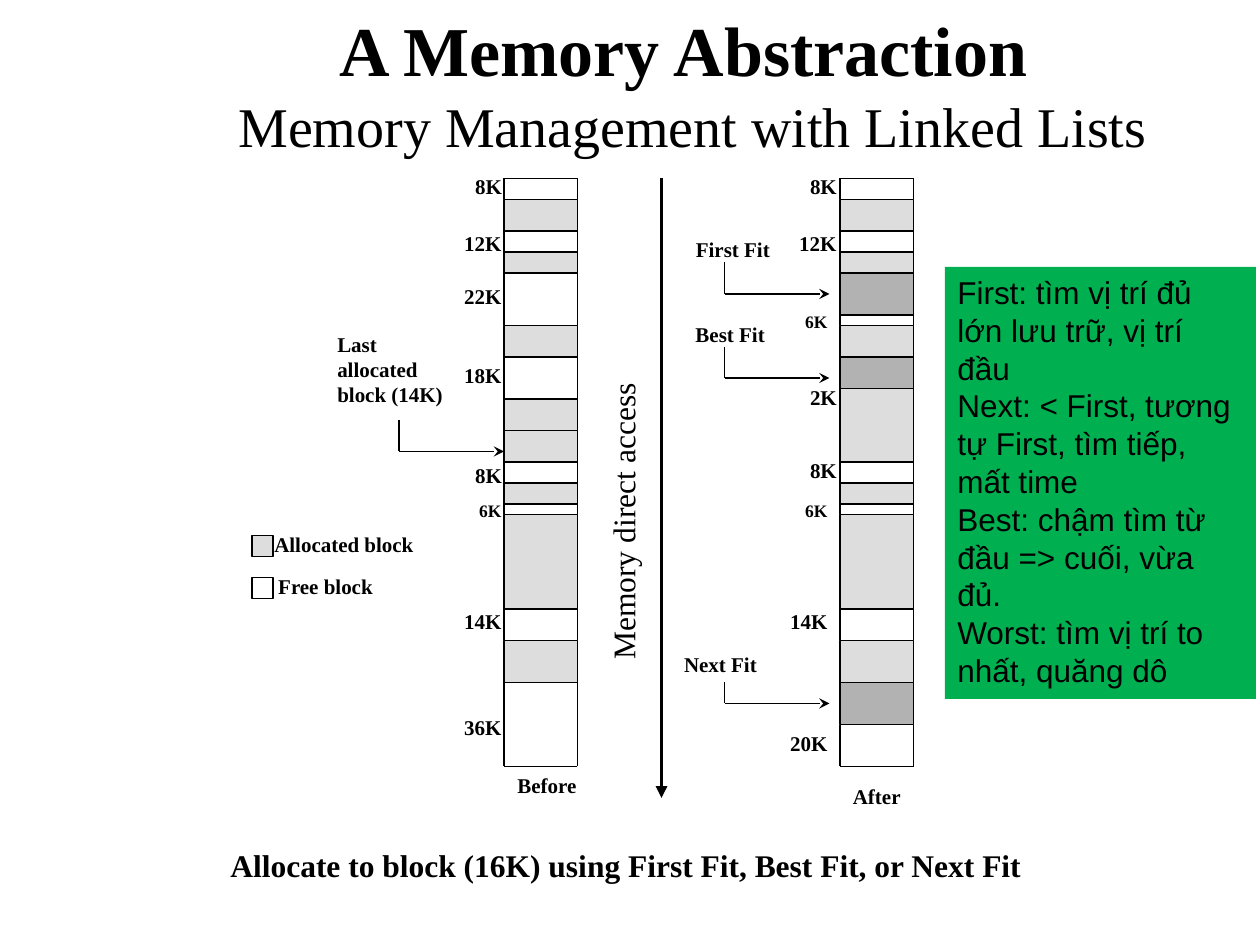
"""Build the slide on memory management with linked lists."""
import pptx
import pptx.util
import pptx.dml.color
import pptx.enum.shapes
import pptx.enum.text
import pptx.oxml
import pptx.oxml.ns

Cm, Pt = pptx.util.Cm, pptx.util.Pt
RGB = pptx.dml.color.RGBColor.from_string
RECT = pptx.enum.shapes.MSO_SHAPE.RECTANGLE
LINE = pptx.enum.shapes.MSO_CONNECTOR.STRAIGHT
AL = pptx.enum.text.PP_ALIGN
FIT = pptx.enum.text.MSO_AUTO_SIZE
hues = {"ink": "000000", "used": "DDDDDD", "new": "B2B2B2", "free": "FFFFFF", "note": "00B050"}
step = 2.54 / 12

deck = pptx.Presentation()
deck.slide_width, deck.slide_height = Cm(25.4), Cm(19.05)
slide = deck.slides.add_slide(deck.slide_layouts[5])
shapes = slide.shapes


def rule(x1, y1, x2, y2, tip=None, wide=1):
    ends = [Cm(n * step) for n in (x1, y1, x2, y2)]
    line = shapes.add_connector(LINE, *ends)
    line.line.color.rgb = RGB(hues["ink"])
    line.line.width = Pt(wide)
    if tip:
        tail = pptx.oxml.parse_xml(f'<a:tailEnd {pptx.oxml.ns.nsdecls("a")} type="{tip}"/>')
        line.line._get_or_add_ln().append(tail)
    line._element.spPr.append(pptx.oxml.parse_xml(f'<a:effectLst {pptx.oxml.ns.nsdecls("a")}/>'))


def write(shape, text, wrap=False, align=AL.LEFT, **style):
    frame = shape.text_frame
    frame.text = text
    frame.word_wrap = wrap
    frame.auto_size = FIT.SHAPE_TO_FIT_TEXT
    look = {"name": "Times New Roman", "size": Pt(12), "bold": True} | style
    for para in frame.paragraphs:
        para.alignment = align
        for run in para.runs:
            run.font.color.rgb = RGB(hues["ink"])
            for key, val in look.items():
                setattr(run.font, key, val)


title = shapes.title
title.left, title.top, title.width, title.height = Cm(2.54), Cm(0), Cm(22.86), Cm(3.18)
frame = title.text_frame
frame.auto_size = FIT.NONE
frame.vertical_anchor = pptx.enum.text.MSO_ANCHOR.MIDDLE
para = frame.paragraphs[0]
para.alignment = AL.CENTER
for text, size, bold in [
    ("A Memory Abstraction", 40, True),
    (" ", 44, True),
    ("Memory Management with Linked Lists", 32, False),
]:
    if not bold:
        para.add_line_break()
    run = para.add_run()
    run.text = text
    look = {"name": "Times New Roman", "size": Pt(size), "bold": bold}
    for key, val in look.items():
        setattr(run.font, key, val)
    run.font.color.rgb = RGB(hues["ink"])

top, end, wide = 17, 73, 7
same = [(19, 22, "used"), (24, 26, "used"), (31, 34, "used"), (46, 48, "used"),
        (49, 58, "used"), (61, 65, "used")]
maps = {
    48: same + [(38, 44, "used")],
    80: same + [(37, 44, "used"), (26, 30, "new"), (34, 37, "new"), (65, 69, "new")],
}
boxes = [(24, 51, 2, 2, "used"), (24, 55, 2, 2, "free")]
for x, rows in maps.items():
    boxes += [(x, a, wide, b - a, hue) for a, b, hue in sorted(rows)]
for x, y, w, h, hue in boxes:
    box = shapes.add_shape(RECT, *[Cm(n * step) for n in (x, y, w, h)])
    box.shadow.inherit = False
    box.fill.solid()
    box.fill.fore_color.rgb = RGB(hues[hue])
    box.line.color.rgb = RGB(hues["ink"])
    box.line.width = Pt(1)

for x, rows in maps.items():
    last = top
    for a, b, hue in sorted(rows) + [(end, end, "free")]:
        if a > last:
            rule(x, last, x, a)
            rule(x + wide, last, x + wide, a)
        last = b
    for y in (top, end):
        rule(x, y, x + wide, y)
rule(48, 41, 55, 41)

for x, y, drop, run in [(38, 40, 3, 10), (69, 25, 3, 10), (69, 33, 3, 10), (69, 65, 2, 10)]:
    rule(x, y, x, y + drop)
    rule(x, y + drop, x + run, y + drop, "stealth")
rule(63, 17, 63, 76, "triangle", 2.25)

sizes = [
    ("8K", 10.37, 3.38), ("12K", 10.37, 4.52), ("22K", 10.37, 5.59), ("18K", 10.37, 7.19),
    ("8K", 10.37, 9.19), ("6K", 10.37, 9.96), ("14K", 10.37, 12.14), ("36K", 10.37, 14.27),
    ("8K", 17.12, 3.38), ("12K", 17.12, 4.52), ("6K", 16.94, 6.15), ("2K", 17.12, 7.62),
    ("8K", 17.12, 9.09), ("6K", 16.94, 9.96), ("14K", 16.94, 12.14), ("20K", 16.94, 14.61),
]
for text, right, y in sizes:
    small = text == "6K"
    w = 0.97 if small else 1.04 if len(text) == 2 else 1.27
    box = shapes.add_textbox(Cm(right - w), Cm(y), Cm(w), Cm(0.69 if small else 0.76))
    write(box, text, align=AL.CENTER, size=Pt(10 if small else 12))

for text, x, y, w, h, align in [
    ("Last\nallocated\nblock (14K)", 6.55, 6.55, 2.64, 1.78, AL.LEFT),
    ("Before", 10.16, 15.44, 1.73, 0.76, AL.CENTER),
    ("After", 16.94, 15.67, 1.47, 0.76, AL.CENTER),
    ("Allocated block", 5.28, 10.59, 3.33, 0.76, AL.LEFT),
    ("Free block", 5.36, 11.43, 2.44, 0.76, AL.LEFT),
    ("First Fit", 13.77, 4.65, 2.01, 0.76, AL.CENTER),
    ("Best Fit", 13.77, 6.35, 1.9, 0.76, AL.CENTER),
    ("Next Fit", 13.54, 13, 1.98, 0.76, AL.LEFT),
]:
    write(shapes.add_textbox(Cm(x), Cm(y), Cm(w), Cm(h)), text, align=align)

task = shapes.add_textbox(Cm(3.81), Cm(16.94), Cm(17.78), Cm(1.02))
write(task, "Allocate to block (16K) using First Fit, Best Fit, or Next Fit ", True, AL.CENTER, size=Pt(18))
side = shapes.add_textbox(Cm(8.33), Cm(8.81), Cm(8.46), Cm(1.02))
side.rotation = 270
write(side, "Memory direct access", True, size=Pt(18), bold=False)

note = shapes.add_textbox(Cm(19.05), Cm(5.38), Cm(6.27), Cm(8.71))
note.fill.solid()
note.fill.fore_color.rgb = RGB(hues["note"])
hints = [
    "First: tìm vị trí đủ lớn lưu trữ, vị trí đầu",
    "Next: < First, tương tự First, tìm tiếp, mất time",
    "Best: chậm tìm từ đầu => cuối, vừa đủ.",
    "Worst: tìm vị trí to nhất, quăng dô ",
]
write(note, "\n".join(hints), True, name="Arial", size=Pt(18), bold=False)

deck.save("out.pptx")
